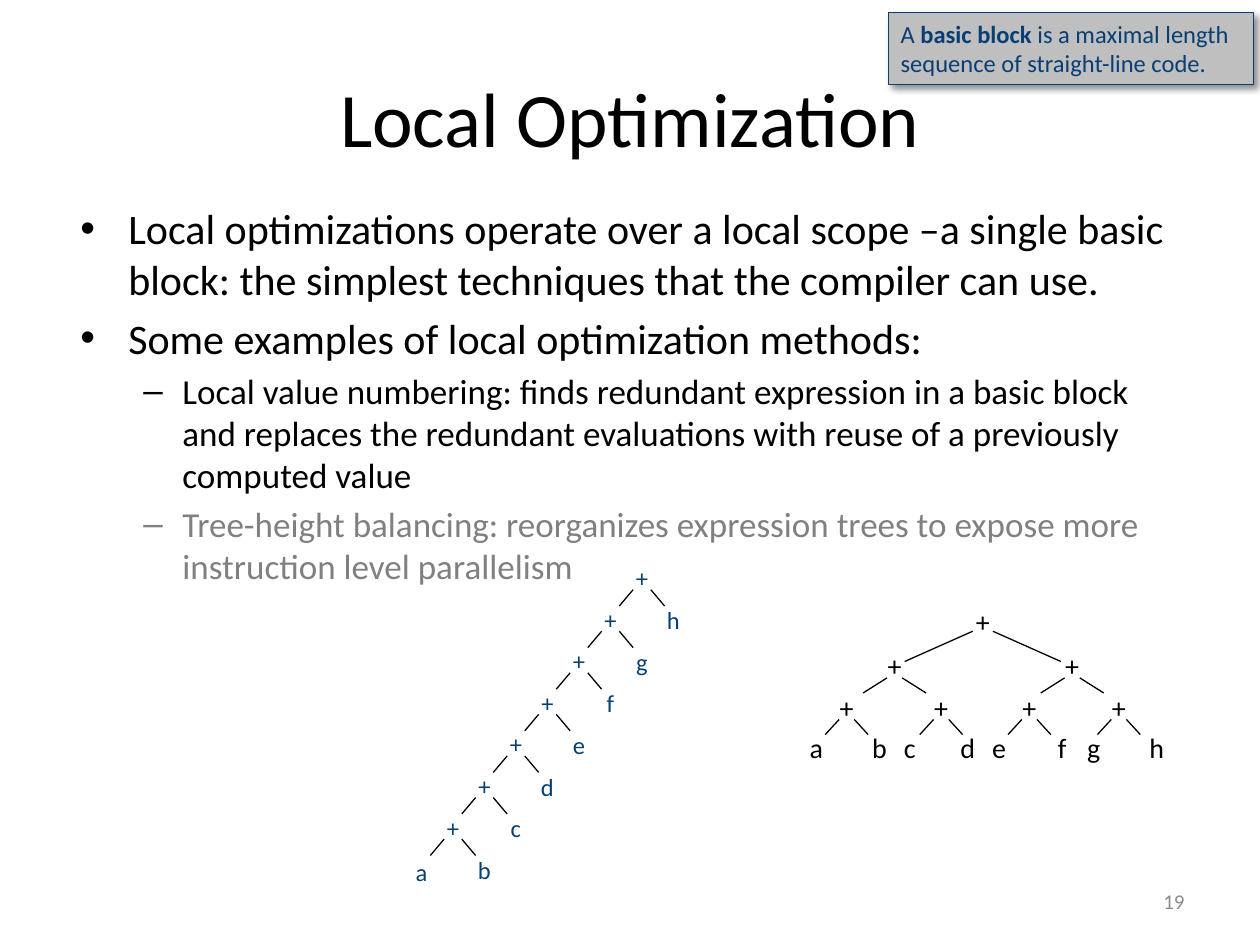
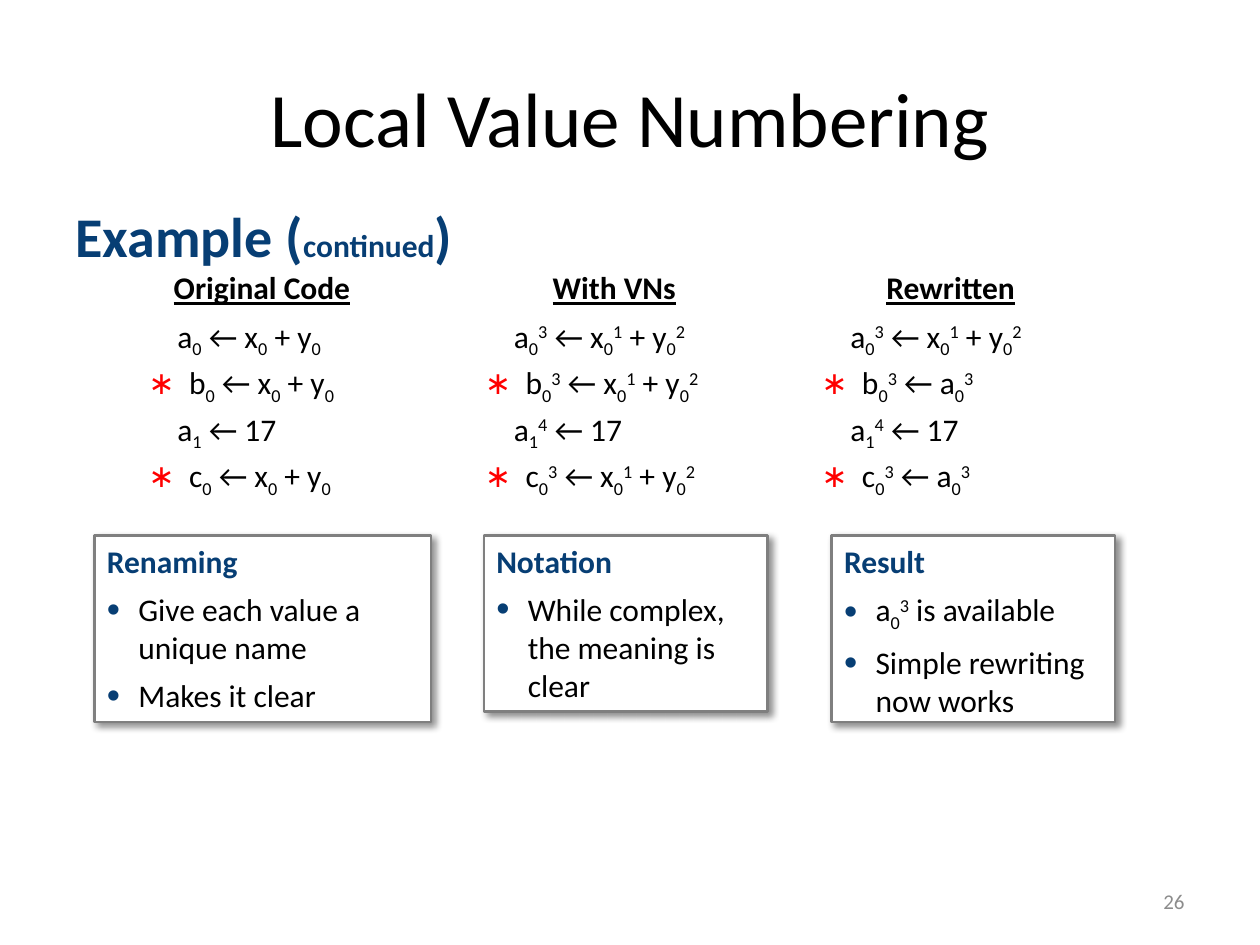
import pptx
import pptx.dml.color
import pptx.enum.shapes
import pptx.enum.text
import pptx.oxml.ns
import pptx.util
from lxml import etree

Inches = pptx.util.Inches
Pt = pptx.util.Pt
ALIGN = pptx.enum.text.PP_ALIGN
ANCHOR = pptx.enum.text.MSO_ANCHOR
BLACK, WHITE, RED = "000000", "FFFFFF", "FF0000"
NAVY, TREE_BLUE = "073E74", "074073"
SILVER, GRAY, MUTED, PAGE_GRAY = "BFBFBF", "7F7F7F", "808080", "8C8C8C"


def rgb(value):
    return pptx.dml.color.RGBColor.from_string(value)


def add_xml(parent, tag, **attributes):
    return etree.SubElement(parent, pptx.oxml.ns.qn(tag), attributes)


def indexed(text):
    parts = []
    level = 0
    for char in text:
        if char in "_^":
            level = -25 if char == "_" else 30
            continue
        if parts and parts[-1][1]["baseline"] == level:
            parts[-1] = (parts[-1][0] + char, parts[-1][1])
        else:
            parts.append((char, {"baseline": level}))
        level = 0
    return parts


class Deck:
    font = "Calibri"

    def __init__(self):
        self.prs = pptx.Presentation()
        self.prs.slide_width = Inches(10)
        self.prs.slide_height = Inches(7.5)
        self.slide = None
        self.shapes = None

    def new_slide(self, title, number):
        self.slide = self.prs.slides.add_slide(self.prs.slide_layouts[6])
        self.shapes = self.slide.shapes
        heading = self.text_box(0.5, 0.3, 9, 1.25, ANCHOR.MIDDLE)
        self.paragraph(heading, title, 44, align=ALIGN.CENTER)
        footer = self.text_box(7.17, 6.95, 2.33, 0.4, ANCHOR.MIDDLE)
        self.paragraph(footer, number, 12, PAGE_GRAY, align=ALIGN.RIGHT)

    def start_group(self):
        self.shapes = self.slide.shapes.add_group_shape().shapes

    def end_group(self):
        self.shapes = self.slide.shapes

    def text_box(self, left, top, width, height, anchor=ANCHOR.TOP):
        box = self.shapes.add_textbox(Inches(left), Inches(top), Inches(width), Inches(height))
        box.text_frame.word_wrap = True
        box.text_frame.vertical_anchor = anchor
        return box.text_frame

    def paragraph(self, frame, content, size, color=BLACK, bold=False, align=ALIGN.LEFT,
                  before=0, after=0, bullet=None, bullet_color=None, indent=0, hang=0):
        first = frame.paragraphs[0]
        para = frame.add_paragraph() if first.runs else first
        para.alignment = align
        para.space_before = Pt(before)
        para.space_after = Pt(after)
        if bullet:
            props = para._p.get_or_add_pPr()
            props.set("marL", str(Inches(indent)))
            props.set("indent", str(-Inches(hang)))
            if bullet_color:
                add_xml(add_xml(props, "a:buClr"), "a:srgbClr", val=bullet_color)
                add_xml(props, "a:buSzPct", val="120000")
            add_xml(props, "a:buFont", typeface="Arial")
            add_xml(props, "a:buChar", char=bullet)
        parts = [(content, {})] if isinstance(content, str) else content
        for text, look in parts:
            run = para.add_run()
            run.text = text
            run.font.name = self.font
            run.font.size = Pt(look.get("size", size))
            run.font.bold = look.get("bold", bold)
            run.font.underline = look.get("underline", False)
            run.font.color.rgb = rgb(look.get("color", color))
            for attribute, scale in (("baseline", 1000), ("spc", 100)):
                if look.get(attribute):
                    run._r.get_or_add_rPr().set(attribute, str(look[attribute] * scale))

    def panel(self, left, top, width, height, fill, line, weight):
        panel = self.shapes.add_shape(pptx.enum.shapes.MSO_SHAPE.RECTANGLE,
                                      Inches(left), Inches(top), Inches(width), Inches(height))
        panel.fill.solid()
        panel.fill.fore_color.rgb = rgb(fill)
        panel.line.color.rgb = rgb(line)
        panel.line.width = Pt(weight)
        panel.shadow.inherit = False
        effects = panel._element.spPr.find(pptx.oxml.ns.qn("a:effectLst"))
        shadow = add_xml(effects, "a:outerShdw", blurRad=str(Pt(4)), dist=str(Pt(3)),
                         dir="2700000", algn="tl", rotWithShape="0")
        add_xml(add_xml(shadow, "a:srgbClr", val=BLACK), "a:alpha", val="43000")
        panel.text_frame.word_wrap = True
        panel.text_frame.vertical_anchor = ANCHOR.TOP
        return panel.text_frame

    def line(self, x1, y1, x2, y2):
        line = self.shapes.add_connector(pptx.enum.shapes.MSO_CONNECTOR.STRAIGHT,
                                         Inches(x1), Inches(y1), Inches(x2), Inches(y2))
        line.line.color.rgb = rgb(BLACK)
        line.line.width = Pt(0.75)
        add_xml(line._element.spPr, "a:effectLst")

    def node(self, label, center, top, size, color):
        frame = self.text_box(center - 0.165, top, 0.33, 0.02 * size + 0.05)
        self.paragraph(frame, label, size, color, align=ALIGN.CENTER)

    def fork(self, center, top, near, far, drop):
        for side in (-1, 1):
            self.line(center + side * near, top, center + side * far, top + drop)


def chain_tree(deck):
    deck.start_group()
    for step, leaf in enumerate("hgfedcb"):
        center, top = 5.095 - 0.25 * step, 4.42 + 0.33 * step
        deck.node("+", center, top, 14, TREE_BLUE)
        deck.node(leaf, center + 0.25, top + 0.335, 14, TREE_BLUE)
        deck.fork(center, top + 0.26, 0.07, 0.18, 0.13)
    deck.node("a", 3.345, 6.75, 14, TREE_BLUE)
    deck.end_group()


def balanced_tree(deck):
    levels = [
        (4.75, [7.8], 0.26, 0.08, 0.62, 0.24),
        (5.1, [7.1, 8.51], 0.28, 0.06, 0.25, 0.12),
        (5.43, [6.72, 7.47, 8.17, 8.88], 0.28, 0.06, 0.17, 0.12),
    ]
    leaf_centers = [6.48, 6.98, 7.22, 7.68, 7.93, 8.43, 8.68, 9.18]
    deck.start_group()
    for top, centers, gap, near, far, drop in levels:
        for center in centers:
            deck.node("+", center, top, 16, BLACK)
            deck.fork(center, top + gap, near, far, drop)
    for leaf, center in zip("abcdefgh", leaf_centers):
        deck.node(leaf, center, 5.75, 16, BLACK)
    deck.end_group()


def local_optimization(deck):
    deck.new_slide("Local Optimization", "19")
    body = deck.text_box(0.54, 1.56, 9, 4.95)
    main = {"size": 24, "bullet": "•", "indent": 0.38, "hang": 0.38}
    sub = {"size": 20, "bullet": "–", "indent": 0.81, "hang": 0.31, "before": 4}
    deck.paragraph(body, "Local optimizations operate over a local scope –a single basic block: "
                   "the simplest techniques that the compiler can use.", **main)
    deck.paragraph(body, "Some examples of local optimization methods:", before=5, **main)
    deck.paragraph(body, "Local value numbering: finds redundant expression in a basic block and "
                   "replaces the redundant evaluations with reuse of a previously computed value",
                   **sub)
    deck.paragraph(body, "Tree-height balancing: reorganizes expression trees to expose more "
                   "instruction level parallelism", color=MUTED, **sub)
    chain_tree(deck)
    balanced_tree(deck)
    definition = deck.panel(7.05, 0.1, 2.9, 0.57, SILVER, TREE_BLUE, 0.75)
    deck.paragraph(definition, [("A ", {}), ("basic block", {"bold": True}),
                                (" is a maximal length sequence of straight-line code.", {})],
                   14, NAVY)


def code_column(deck, left, width, heading, statements):
    frame = deck.text_box(left, 2.08, width, 1.78)
    deck.paragraph(frame, [(heading, {"underline": True})], 18, bold=True,
                   align=ALIGN.CENTER, after=4)
    for row, statement in enumerate(statements):
        redundant = row % 2 == 1
        star = [("∗ ", {"color": RED, "spc": 2})] if redundant else []
        deck.paragraph(frame, star + indexed(statement), 18, before=2)
        if not redundant:
            frame.paragraphs[-1]._p.get_or_add_pPr().set("marL", str(Inches(0.23)))


def note_panel(deck, left, width, height, heading, points):
    frame = deck.panel(left, 4.25, width, height, WHITE, GRAY, 1.5)
    deck.paragraph(frame, heading, 18, NAVY, bold=True)
    for point in points:
        deck.paragraph(frame, indexed(point), 18, before=6, bullet="•", bullet_color=NAVY,
                       indent=0.25, hang=0.25)


def local_value_numbering(deck):
    deck.new_slide("Local Value Numbering", "26")
    example = deck.text_box(0.5, 1.55, 9, 4.95)
    deck.paragraph(example, [("Example (", {}), ("continued", {"size": 18}), (")", {})],
                   32, NAVY, bold=True)
    code_column(deck, 1.08, 2, "Original Code",
                ["a_0 ← x_0 + y_0", "b_0 ← x_0 + y_0", "a_1 ← 17", "c_0 ← x_0 + y_0"])
    code_column(deck, 3.75, 2.25, "With VNs",
                ["a_0^3 ← x_0^1 + y_0^2", "b_0^3 ← x_0^1 + y_0^2",
                 "a_1^4 ← 17", "c_0^3 ← x_0^1 + y_0^2"])
    code_column(deck, 6.42, 2.25, "Rewritten",
                ["a_0^3 ← x_0^1 + y_0^2", "b_0^3 ← a_0^3", "a_1^4 ← 17", "c_0^3 ← a_0^3"])
    note_panel(deck, 0.75, 2.67, 1.48, "Renaming",
               ["Give each value a unique name", "Makes it clear"])
    note_panel(deck, 3.84, 2.25, 1.4, "Notation", ["While complex, the meaning is clear"])
    note_panel(deck, 6.6, 2.25, 1.48, "Result",
               ["a_0^3 is available", "Simple rewriting now works"])


def main():
    deck = Deck()
    local_optimization(deck)
    local_value_numbering(deck)
    deck.prs.save("out.pptx")


if __name__ == "__main__":
    main()
